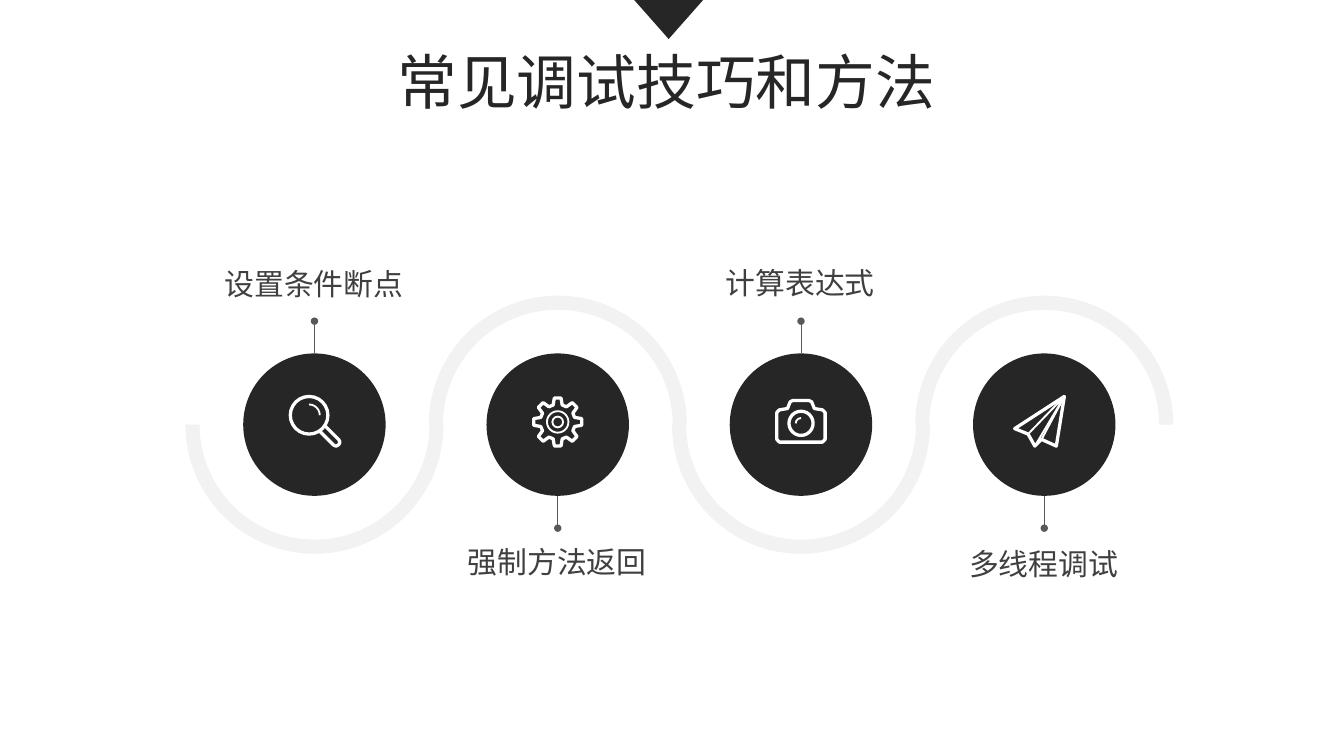
from math import cos, sin, radians
from lxml.etree import SubElement
from pptx import Presentation
from pptx.dml.color import RGBColor
from pptx.enum.shapes import MSO_CONNECTOR, MSO_SHAPE
from pptx.enum.text import MSO_ANCHOR, PP_ALIGN
from pptx.oxml.ns import qn
from pptx.util import Inches, Pt

TITLE = "常见调试技巧和方法"
STEPS = [("设置条件断点", 1.93, "lens"), ("强制方法返回", 4.0, "gear"),
         ("计算表达式", 1.92, "camera"), ("多线程调试", 4.01, "plane")]
THEME = dict(dark="262626", text="3F3F3F", stem="595959", wave="BFBFBF", icon="FFFFFF",
             head="Arial", body="Noto Sans CJK SC", big=32, small=16, bold=1.75, thin=1)
LEFT, STEP, MID = 2.34, 1.81, 3.16
DISC, RING, BAND = 0.53, 0.96, 0.105

TEETH = [(r * cos(radians(t + d)), r * sin(radians(t + d)))
         for t in range(0, 360, 45)
         for r, d in ((0.13, -15), (0.18, -8), (0.18, 8), (0.13, 15))]
ICONS = {
    "lens": dict(
        rings=[(-0.04, -0.07, 0.14, "bold")],
        arcs=[(-0.04, -0.07, 0.08)],
        lines=[([(0.04, 0.05), (0.14, 0.15), (0.16, 0.16), (0.18, 0.15),
                 (0.19, 0.13), (0.18, 0.11), (0.08, 0.01)], False, "bold")]),
    "gear": dict(
        rings=[(0, -0.02, 0.08, "thin"), (0, -0.02, 0.04, "thin")],
        lines=[([(x, y - 0.02) for x, y in TEETH], True, "bold")]),
    "camera": dict(
        rings=[(0, -0.01, 0.09, "bold")],
        arcs=[(0, -0.01, -0.04)],
        lines=[([(-0.16, -0.11), (-0.1, -0.12), (-0.08, -0.17), (-0.06, -0.18),
                 (0.06, -0.18), (0.08, -0.17), (0.1, -0.12), (0.16, -0.11),
                 (0.18, -0.09), (0.18, 0.11), (0.16, 0.13), (-0.16, 0.13),
                 (-0.18, 0.11), (-0.18, -0.09)], True, "bold")]),
    "plane": dict(
        lines=[([(0.15, -0.21), (-0.22, 0.03), (-0.12, 0.07), (-0.07, 0.16),
                 (-0.02, 0.11), (0.09, 0.16)], True, "bold"),
               ([(-0.12, 0.07), (0.15, -0.21), (-0.07, 0.16)], False, "thin"),
               ([(-0.02, 0.11), (0.15, -0.21)], False, "thin")]),
}


def tint(name):
    return RGBColor.from_string(THEME[name])


def paint(shape, fill=None, line=None, width="bold"):
    shape.shadow.inherit = False
    if fill:
        shape.fill.solid()
        shape.fill.fore_color.rgb = tint(fill)
    else:
        shape.fill.background()
    if line:
        shape.line.color.rgb = tint(line)
        shape.line.width = Pt(THEME[width])
    else:
        shape.line.fill.background()
    return shape


def round_shape(kind, x, y, r):
    return slide.shapes.add_shape(kind, Inches(x - r), Inches(y - r), Inches(2 * r), Inches(2 * r))


def write(shape, text, font, size, color):
    frame = shape.text_frame
    frame.word_wrap = True
    frame.vertical_anchor = MSO_ANCHOR.TOP
    frame.text = text
    para = frame.paragraphs[0]
    para.alignment = PP_ALIGN.CENTER
    para.font.name = THEME[font]
    para.font.size = Pt(THEME[size])
    para.font.color.rgb = tint(color)


def wave(x, up):
    arc = paint(round_shape(MSO_SHAPE.BLOCK_ARC, x, MID, RING), "wave")
    arc.adjustments[2] = BAND / (2 * RING)
    arc.rotation = 0 if up else 180
    color = arc.fill._xPr.find(qn("a:solidFill"))[0]
    SubElement(color, qn("a:alpha"), val="20000")


def stem(x, side):
    line = slide.shapes.add_connector(MSO_CONNECTOR.STRAIGHT, Inches(x), Inches(MID + side * DISC),
                                      Inches(x), Inches(MID + side * 0.77))
    line.line.color.rgb = tint("stem")
    line.line.width = Pt(0.5)
    SubElement(line.line._get_or_add_ln(), qn("a:tailEnd"), type="oval", w="sm", len="sm")
    SubElement(line._element.spPr, qn("a:effectLst"))


def icon(x, rings=(), arcs=(), lines=()):
    for dx, dy, r, width in rings:
        paint(round_shape(MSO_SHAPE.OVAL, x + dx, MID + dy, r), None, "icon", width)
    for dx, dy, r in arcs:
        arc = paint(round_shape(MSO_SHAPE.ARC, x + dx, MID + dy, abs(r)), None, "icon", "thin")
        arc.rotation = 0 if r > 0 else 270
    for points, close, width in lines:
        spots = [(Inches(x + dx), Inches(MID + dy)) for dx, dy in points]
        path = slide.shapes.build_freeform(*spots[0])
        path.add_line_segments(spots[1:], close=close)
        shape = paint(path.convert_to_shape(), None, "icon", width)
        SubElement(shape.line._get_or_add_ln(), qn("a:round"))


deck = Presentation()
deck.slide_width = Inches(10)
deck.slide_height = deck.slide_width * 9 // 16
slide = deck.slides.add_slide(deck.slide_layouts[5])

mark = paint(slide.shapes.add_shape(MSO_SHAPE.ISOSCELES_TRIANGLE, Inches(4.71), Inches(-0.01),
                                    Inches(0.53), Inches(0.3)), "dark")
mark.rotation = 180

title = slide.shapes.title
title.left, title.top, title.width, title.height = map(Inches, (2.62, 0.28, 4.68, 1.18))
write(title, TITLE, "head", "big", "dark")

for i, (label, top, name) in enumerate(STEPS):
    x = LEFT + i * STEP
    below = i % 2 == 1
    wave(x, below)
    stem(x, 1 if below else -1)
    box = slide.shapes.add_textbox(Inches(x - 1.25), Inches(top), Inches(2.49), Inches(0.37))
    write(box, label, "body", "small", "text")
    paint(round_shape(MSO_SHAPE.OVAL, x, MID, DISC), "dark")
    icon(x, **ICONS[name])

deck.save("out.pptx")
